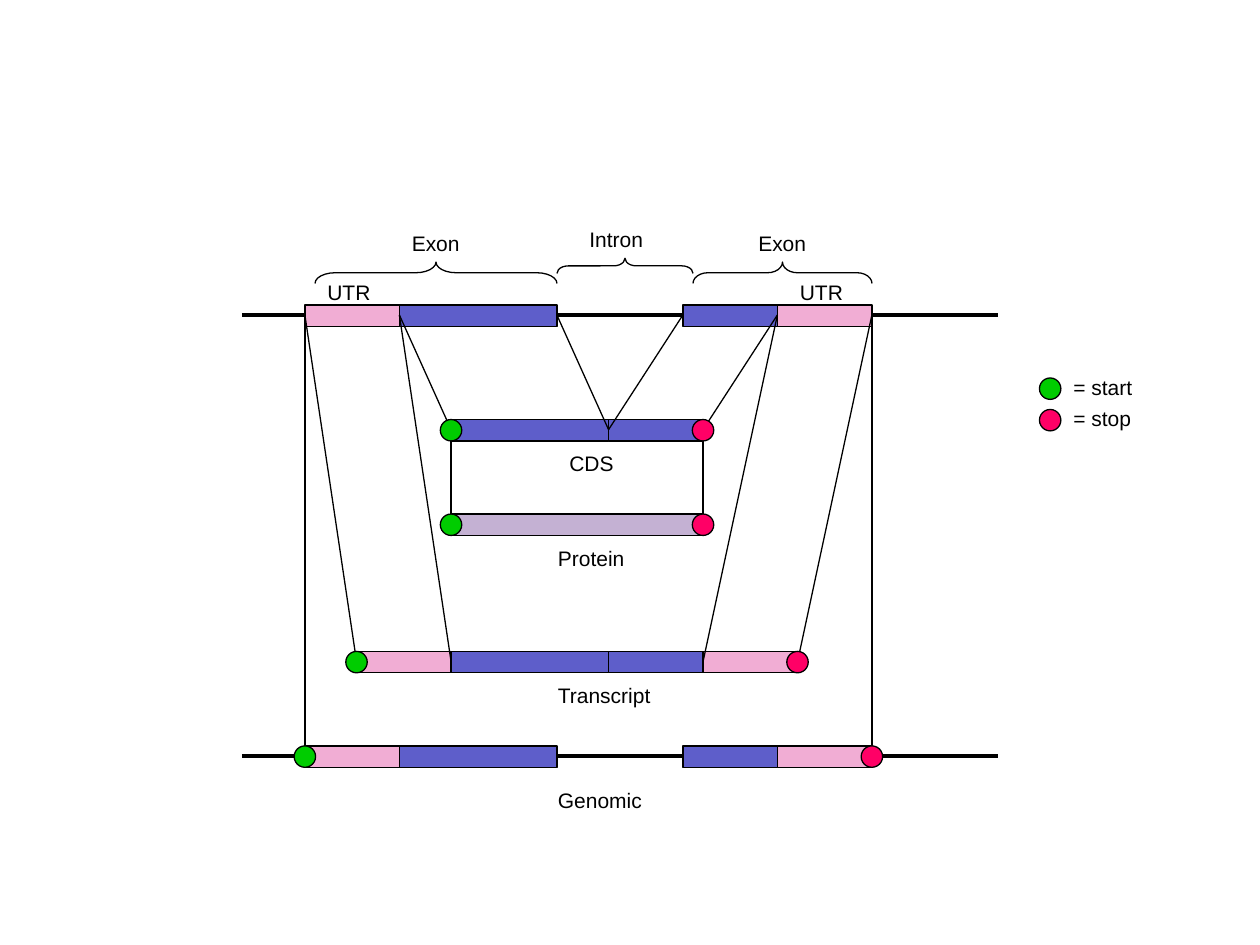
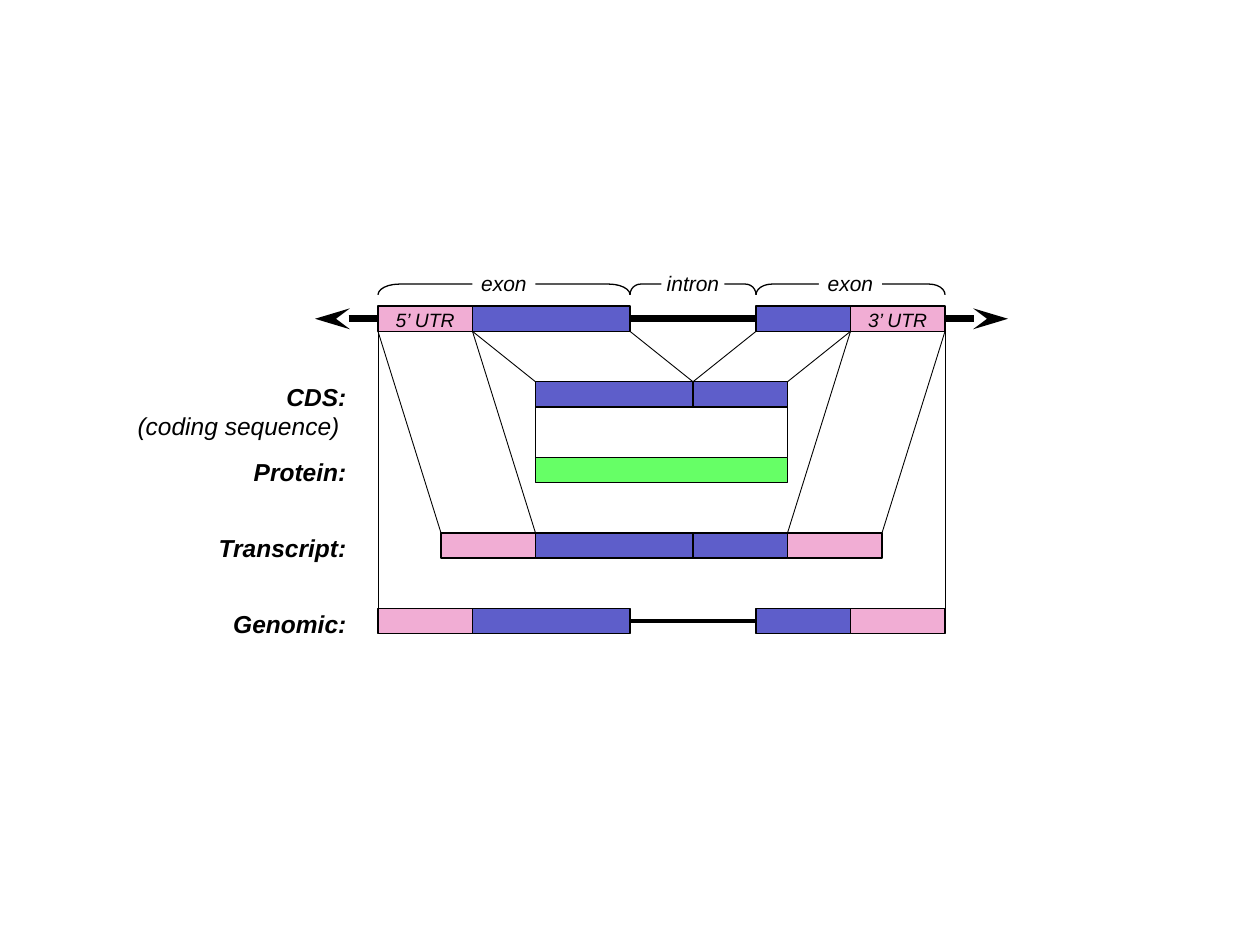
"""Build two slides showing how a gene maps to its CDS, protein, transcript and genomic forms."""
import pptx
import pptx.dml.color
import pptx.enum.shapes
import pptx.enum.text
import pptx.oxml
import pptx.oxml.ns
import pptx.util

Inches = pptx.util.Inches
SHAPES = pptx.enum.shapes.MSO_SHAPE
ALIGN = pptx.enum.text.PP_ALIGN
ANCHOR = pptx.enum.text.MSO_ANCHOR
AUTO_SIZE = pptx.enum.text.MSO_AUTO_SIZE


class Theme:
    colours = {
        "ink": "000000", "paper": "FFFFFF", "utr": "F1ADD4", "coding": "5E5ECA",
        "violet": "C4B1D3", "green": "66FF66", "start": "00CC00", "stop": "FF0066",
    }
    outline = 0.75
    fonts = {
        "plain": {"size": 12, "bold": False, "italic": False},
        "span": {"size": 12, "bold": False, "italic": True},
        "region": {"size": 11, "bold": False, "italic": True},
        "row": {"size": 14, "bold": True, "italic": True},
        "aside": {"size": 14, "bold": False, "italic": True},
    }
    padding = {"padded": (0.1, 0.05), "flush": (0, 0)}
    font_name = "Arial"


GENE = [(0, 0.75, "utr"), (0.75, 1.25, "coding"), (3, 0.75, "coding"), (3.75, 0.75, "utr")]
CDS = [(0, 1.25, "coding"), (1.25, 0.75, "coding")]
TRANSCRIPT = [(0, 0.75, "utr"), (0.75, 1.25, "coding"), (2, 0.75, "coding"), (2.75, 0.75, "utr")]

LINKS = [
    ("gene", "cds", [(0.75, 0), (2, 1.25), (3, 1.25), (3.75, 2)]),
    ("gene", "transcript", [(0, 0), (0.75, 0.75), (3.75, 2.75), (4.5, 3.5)]),
    ("gene", "genomic", [(0, 0), (4.5, 4.5)]),
    ("cds", "protein", [(0, 0), (2, 2)]),
]

CAPPED_DIAGRAM = {
    "backbones": [(1.92, 7.92, 6, 2.25, False), (1.92, 7.92, 2.5, 2.25, False)],
    "bar_height": 0.17, "link_start": 0.08, "link_end": 0.08, "link_width": 0.75,
    "strands": {
        "gene": (2.42, 2.42, GENE),
        "cds": (3.58, 3.33, CDS),
        "protein": (3.58, 4.08, [(0, 2, "violet")]),
        "transcript": (2.83, 5.17, TRANSCRIPT),
        "genomic": (2.42, 5.92, GENE),
    },
    "capped": ["cds", "protein", "transcript", "genomic"],
    "legend": [("start", 8.25, 3), ("stop", 8.25, 3.25)],
    "braces": [(2.5, 2.08, 1.92, 0.17), (5.5, 2.08, 1.42, 0.17), (4.42, 2.05, 1.08, 0.12)],
    "plain_labels": [
        ("UTR", 2.5, 2.17, 0.83), ("UTR", 6.25, 2.17, 0.83),
        ("Exon", 3.17, 1.78, 0.83), ("Exon", 5.92, 1.78, 0.83), ("Intron", 4.58, 1.75, 0.83),
        ("CDS", 4.42, 3.53, 0.83), ("Protein", 4.33, 4.28, 0.83),
        ("Transcript", 4.33, 5.37, 1), ("Genomic", 4.33, 6.2, 1),
        ("= start", 8.42, 2.92, 0.83), ("= stop", 8.42, 3.17, 0.83),
    ],
}

ROW_DIAGRAM = {
    "backbones": [(2.5, 8, 2.53, 4, True), (3, 7.5, 4.93, 2.25, False)],
    "bar_height": 0.2, "link_start": 0.2, "link_end": 0, "link_width": 0.5,
    "strands": {
        "gene": (3, 2.43, GENE),
        "cds": (4.25, 3.03, CDS),
        "protein": (4.25, 3.63, [(0, 2, "green")]),
        "transcript": (3.5, 4.23, TRANSCRIPT),
        "genomic": (3, 4.83, GENE),
    },
    "braces": [(3, 2.17, 2, 0.17), (6, 2.17, 1.5, 0.17), (5, 2.17, 1, 0.17)],
    "span_labels": [("exon", 3.75), ("exon", 6.5), ("intron", 5.25)],
    "region_labels": [("5’ UTR", 2.96), ("3’ UTR", 6.71)],
    "row_labels": {
        "cds": [("CDS:", "row"), ("(coding sequence) ", "aside")],
        "protein": [("Protein:", "row")],
        "transcript": [("Transcript:", "row")],
        "genomic": [("Genomic:", "row")],
    },
}


def assign(target, values):
    for name, value in values.items():
        setattr(target, name, value)


def colour(name):
    return pptx.dml.color.RGBColor.from_string(Theme.colours[name])


def add_shape(slide, kind, box, fill=None, outlined=True):
    shape = slide.shapes.add_shape(kind, *map(Inches, box))
    shape.shadow.inherit = False
    if fill:
        shape.fill.solid()
        shape.fill.fore_color.rgb = colour(fill)
    else:
        shape.fill.background()
    if outlined:
        shape.line.color.rgb = colour("ink")
        shape.line.width = pptx.util.Pt(Theme.outline)
    else:
        shape.line.fill.background()
    return shape


def add_line(slide, start, end, width, arrows=False):
    line = slide.shapes.add_connector(
        pptx.enum.shapes.MSO_CONNECTOR.STRAIGHT, *map(Inches, start + end))
    line.line.color.rgb = colour("ink")
    line.line.width = pptx.util.Pt(width)
    properties = line._element.spPr
    if arrows:
        outline = properties.find(pptx.oxml.ns.qn("a:ln"))
        for tag in ("headEnd", "tailEnd"):
            outline.append(pptx.oxml.parse_xml(
                f'<a:{tag} {pptx.oxml.ns.nsdecls("a")} type="stealth" w="med" len="lg"/>'))
    properties.append(pptx.oxml.parse_xml(f'<a:effectLst {pptx.oxml.ns.nsdecls("a")}/>'))


def write(shape, lines, alignment, padding="flush", **frame_format):
    frame = shape.text_frame
    across, down = map(Inches, Theme.padding[padding])
    assign(frame, {"margin_left": across, "margin_right": across, "margin_top": down,
                   "margin_bottom": down, "word_wrap": True, **frame_format})
    for index, (text, style) in enumerate(lines):
        paragraph = frame.add_paragraph() if index else frame.paragraphs[0]
        paragraph.alignment = alignment
        run = paragraph.add_run()
        run.text = text
        font = Theme.fonts[style]
        assign(run.font, {**font, "name": Theme.font_name, "size": pptx.util.Pt(font["size"])})
        run.font.color.rgb = colour("ink")


def add_label(slide, lines, box, alignment, padding="flush", **frame_format):
    textbox = slide.shapes.add_textbox(*map(Inches, box))
    write(textbox, lines, alignment, padding, **frame_format)


def add_brace(slide, left, top, length, depth):
    shift = (length - depth) / 2
    brace = add_shape(slide, SHAPES.LEFT_BRACE, (left + shift, top - shift, depth, length))
    brace.rotation = 90
    brace.adjustments[0] = length / 12 / depth


def add_cap(slide, fill, left, top, size):
    add_shape(slide, SHAPES.OVAL, (left, top, size, size), fill)


def draw_diagram(slide, diagram):
    height, strands = diagram["bar_height"], diagram["strands"]
    for left, right, y, width, arrows in diagram["backbones"]:
        add_line(slide, (left, y), (right, y), width, arrows)
    for left, top, segments in strands.values():
        for offset, width, fill in segments:
            add_shape(slide, SHAPES.RECTANGLE, (left + offset, top, width, height), fill)
    for source, target, offsets in LINKS:
        source_left, source_top, _ = strands[source]
        target_left, target_top, _ = strands[target]
        for source_offset, target_offset in offsets:
            add_line(slide,
                     (source_left + source_offset, source_top + diagram["link_start"]),
                     (target_left + target_offset, target_top + diagram["link_end"]),
                     diagram["link_width"])
    for brace in diagram["braces"]:
        add_brace(slide, *brace)


def draw_capped_slide(slide, diagram):
    draw_diagram(slide, diagram)
    size = diagram["bar_height"]
    for name in diagram["capped"]:
        left, top, segments = diagram["strands"][name]
        offset, width, _ = segments[-1]
        for fill, x in (("start", left), ("stop", left + offset + width)):
            add_cap(slide, fill, x - size / 2, top, size)
    for fill, left, top in diagram["legend"]:
        add_cap(slide, fill, left, top, size)
    for text, left, top, width in diagram["plain_labels"]:
        add_label(slide, [(text, "plain")], (left, top, width, 0.3), ALIGN.LEFT, "padded",
                  auto_size=AUTO_SIZE.SHAPE_TO_FIT_TEXT)


def draw_row_slide(slide, diagram):
    draw_diagram(slide, diagram)
    for text, left in diagram["span_labels"]:
        patch = add_shape(slide, SHAPES.RECTANGLE, (left, 2.15, 0.5, 0.2), "paper", False)
        write(patch, [(text, "span")], ALIGN.CENTER, vertical_anchor=ANCHOR.MIDDLE)
    for text, left in diagram["region_labels"]:
        add_label(slide, [(text, "region")], (left, 2.4, 0.83, 0.29), ALIGN.CENTER, "padded",
                  auto_size=AUTO_SIZE.SHAPE_TO_FIT_TEXT)
    for name, lines in diagram["row_labels"].items():
        top = diagram["strands"][name][1]
        add_label(slide, lines, (0.75, top, 2, 0.2), ALIGN.RIGHT)


def main():
    presentation = pptx.Presentation()
    assign(presentation, {"slide_width": Inches(10), "slide_height": Inches(7.5)})
    blank = presentation.slide_layouts[6]
    for draw, diagram in ((draw_capped_slide, CAPPED_DIAGRAM), (draw_row_slide, ROW_DIAGRAM)):
        draw(presentation.slides.add_slide(blank), diagram)
    presentation.save("out.pptx")


if __name__ == "__main__":
    main()
